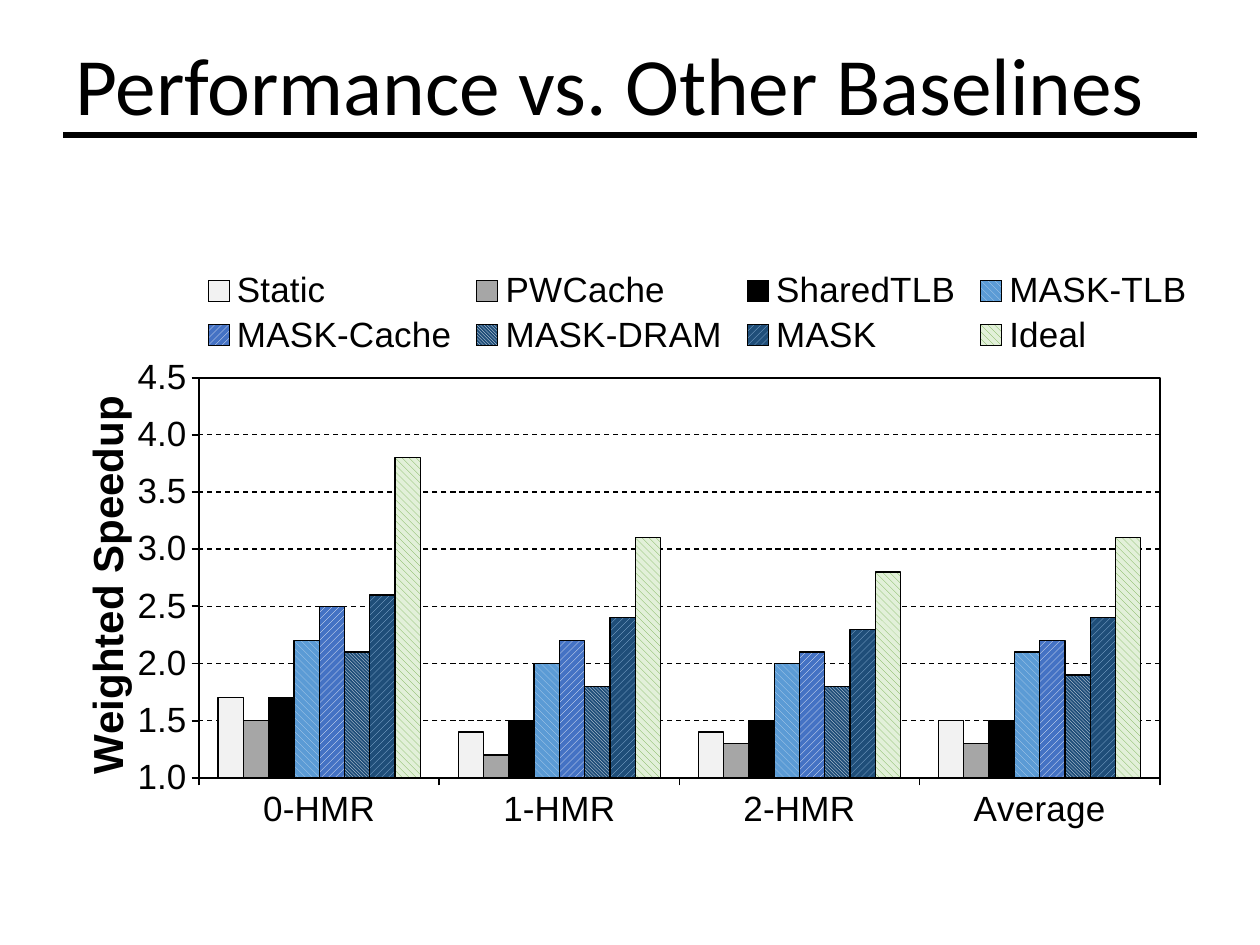
from typing import NamedTuple, Optional

from lxml import etree
from pptx import Presentation
from pptx import util as u
from pptx.chart.data import CategoryChartData
from pptx.dml.color import RGBColor
from pptx.enum import chart as ch, dml, shapes, text
from pptx.oxml import parse_xml
from pptx.oxml.ns import nsdecls, qn

BLACK = RGBColor(0x00, 0x00, 0x00)
WHITE = RGBColor(0xFF, 0xFF, 0xFF)
LIGHT_GRAY = RGBColor(0xF2, 0xF2, 0xF2)
GRAY = RGBColor(0xA6, 0xA6, 0xA6)
PALE_BLUE = RGBColor(0xBD, 0xD7, 0xEE)
SOFT_BLUE = RGBColor(0x9D, 0xC3, 0xE6)
SKY = RGBColor(0x5B, 0x9B, 0xD5)
BLUE = RGBColor(0x44, 0x72, 0xC4)
NAVY = RGBColor(0x1F, 0x4E, 0x79)
GREEN = RGBColor(0x70, 0xAD, 0x47)
PALE_GREEN = RGBColor(0xE2, 0xF0, 0xD9)

WIDE_DOWN = dml.MSO_PATTERN.WIDE_DOWNWARD_DIAGONAL
WIDE_UP = dml.MSO_PATTERN.WIDE_UPWARD_DIAGONAL
DARK_DOWN = dml.MSO_PATTERN.DARK_DOWNWARD_DIAGONAL

WIDTH, HEIGHT = u.Inches(10), u.Inches(7.5)
MARGIN = 0.05
RULE_Y = 0.143


class Series(NamedTuple):
    name: str
    values: tuple[float, ...]
    color: RGBColor
    pattern: Optional[dml.MSO_PATTERN] = None
    stripe: RGBColor = WHITE


CATEGORIES = ("0-HMR", "1-HMR", "2-HMR", "Average")
SERIES = (
    Series("Static", (1.7, 1.4, 1.4, 1.5), LIGHT_GRAY),
    Series("PWCache", (1.5, 1.2, 1.3, 1.3), GRAY),
    Series("SharedTLB", (1.7, 1.5, 1.5, 1.5), BLACK),
    Series("MASK-TLB", (2.2, 2.0, 2.0, 2.1), SKY, WIDE_DOWN, PALE_BLUE),
    Series("MASK-Cache", (2.5, 2.2, 2.1, 2.2), BLUE, WIDE_UP),
    Series("MASK-DRAM", (2.1, 1.8, 1.8, 1.9), NAVY, DARK_DOWN),
    Series("MASK", (2.6, 2.4, 2.3, 2.4), NAVY, WIDE_UP, SOFT_BLUE),
    Series("Ideal", (3.8, 3.1, 2.8, 3.1), PALE_GREEN, WIDE_DOWN, GREEN),
)


def x(share: float) -> int:
    return round(WIDTH * share)


def y(share: float) -> int:
    return round(HEIGHT * share)


def set_font(font, size: float, name: str = "Arial", bold: bool = False) -> None:
    font.size, font.name, font.bold = u.Pt(size), name, bold
    font.color.rgb = BLACK


def set_line(line, width: float) -> None:
    line.color.rgb = BLACK
    line.width = u.Pt(width)


def place(element, index: int, inner: bool = False, **shares: float) -> None:
    for old in element.findall(qn("c:layout")):
        element.remove(old)
    layout = etree.Element(qn("c:layout"))
    manual = etree.SubElement(layout, qn("c:manualLayout"))
    if inner:
        etree.SubElement(manual, qn("c:layoutTarget"), val="inner")
    for side in ("x", "y"):
        etree.SubElement(manual, qn(f"c:{side}Mode"), val="edge")
    for side, share in shares.items():
        etree.SubElement(manual, qn(f"c:{side}"), val=str(share))
    element.insert(index, layout)


def style_series(bars, series: Series) -> None:
    fill = bars.format.fill
    if series.pattern is None:
        fill.solid()
        fill.fore_color.rgb = series.color
    else:
        fill.patterned()
        fill.pattern = series.pattern
        fill.fore_color.rgb = series.stripe
        fill.back_color.rgb = series.color
    bars.invert_if_negative = False
    set_line(bars.format.line, 0.75)


def style_axis(axis) -> None:
    axis.major_tick_mark = ch.XL_TICK_MARK.OUTSIDE
    axis.minor_tick_mark = ch.XL_TICK_MARK.NONE
    set_font(axis.tick_labels.font, 20)
    set_line(axis.format.line, 1)


def add_speedup_chart(s) -> None:
    data = CategoryChartData(number_format="0.0")
    data.categories = CATEGORIES
    for series in SERIES:
        data.add_series(series.name, series.values)
    chart = s.shapes.add_chart(
        ch.XL_CHART_TYPE.COLUMN_CLUSTERED, x(0.039), y(0.191), x(0.923), y(0.759), data
    ).chart
    set_font(chart.font, 10, "Calibri")
    chart.has_title = False

    plot = chart.plots[0]
    plot.gap_width, plot.overlap, plot.vary_by_categories = 150, 0, False
    for bars, series in zip(plot.series, SERIES):
        style_series(bars, series)

    style_axis(chart.category_axis)
    axis = chart.value_axis
    style_axis(axis)
    axis.minimum_scale, axis.maximum_scale, axis.major_unit = 1, 4.5, 0.5
    axis.tick_labels.number_format = "#,##0.0"
    axis.tick_labels.number_format_is_linked = False
    grid = axis.major_gridlines.format.line
    set_line(grid, 0.75)
    grid.dash_style = dml.MSO_LINE.DASH
    p = axis.axis_title.text_frame.paragraphs[0]
    p.text = "Weighted Speedup"
    set_font(p.font, 24, bold=True)
    place(axis.axis_title._element, 1, x=0.02, y=0.29)

    chart.has_legend = True
    legend = chart.legend
    legend.position = ch.XL_LEGEND_POSITION.RIGHT
    legend.include_in_layout = False
    set_font(legend.font, 20)
    place(legend._element, 1, x=0.125, y=0.12, w=0.865, h=0.13)

    area = chart._chartSpace.chart.plotArea
    place(area, 0, inner=True, x=0.129, y=0.275, w=0.826, h=0.558)
    area.append(parse_xml(
        f'<c:spPr {nsdecls("c", "a")}><a:noFill/><a:ln w="{u.Pt(1)}">'
        f'<a:solidFill><a:srgbClr val="{BLACK}"/></a:solidFill></a:ln></c:spPr>'
    ))


def add_title(s) -> None:
    top = 0.019
    sp = s.shapes.add_textbox(x(MARGIN), y(top), x(1 - 2 * MARGIN), y(RULE_Y - top))
    tf = sp.text_frame
    tf.word_wrap = True
    tf.vertical_anchor = text.MSO_ANCHOR.BOTTOM
    p = tf.paragraphs[0]
    p.text = "Performance vs. Other Baselines"
    p.line_spacing = 0.7
    set_font(p.font, 46.5, "Calibri")


def add_rule(s) -> None:
    rule = s.shapes.add_connector(
        shapes.MSO_CONNECTOR.STRAIGHT, x(MARGIN), y(RULE_Y), x(1 - MARGIN), y(RULE_Y)
    )
    set_line(rule.line, 3)
    etree.SubElement(rule._element.spPr, qn("a:effectLst"))


def main() -> None:
    prs = Presentation()
    prs.slide_width, prs.slide_height = WIDTH, HEIGHT
    s = prs.slides.add_slide(prs.slide_layouts[6])
    add_speedup_chart(s)
    add_title(s)
    add_rule(s)
    prs.save("out.pptx")


if __name__ == "__main__":
    main()
